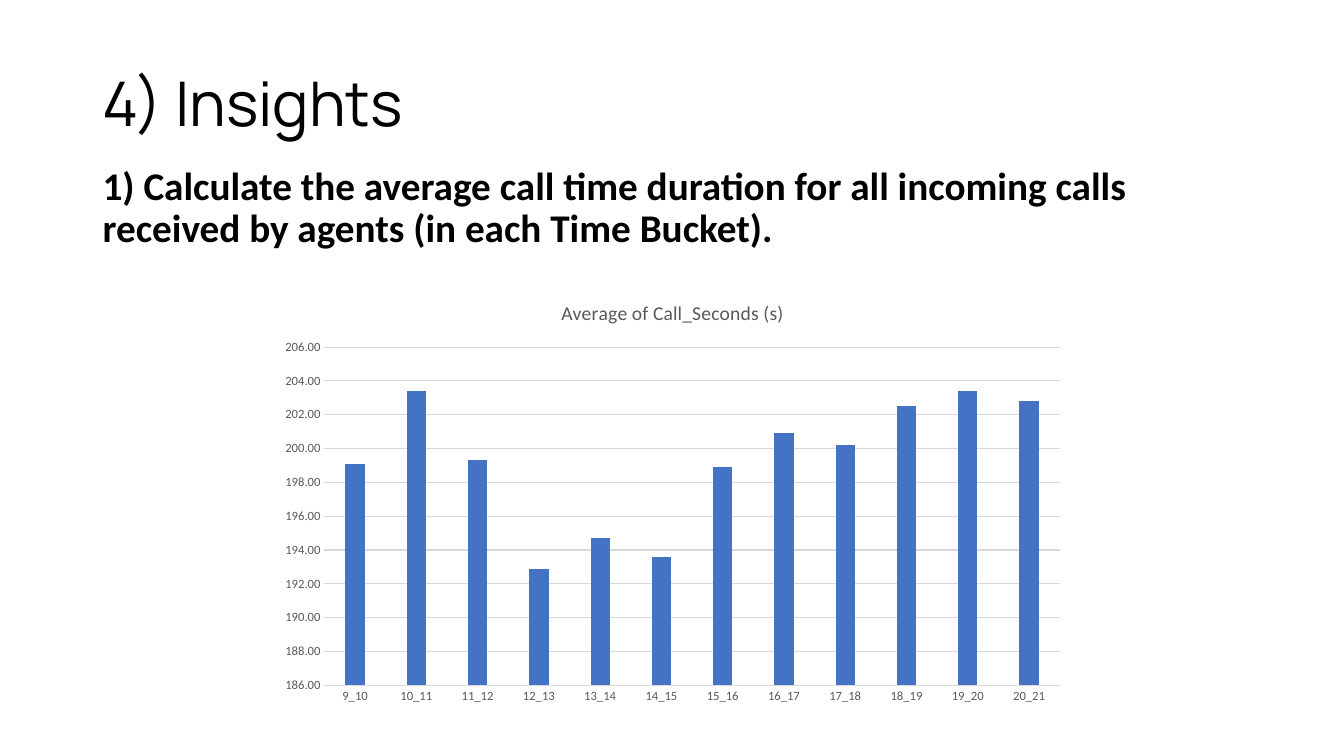
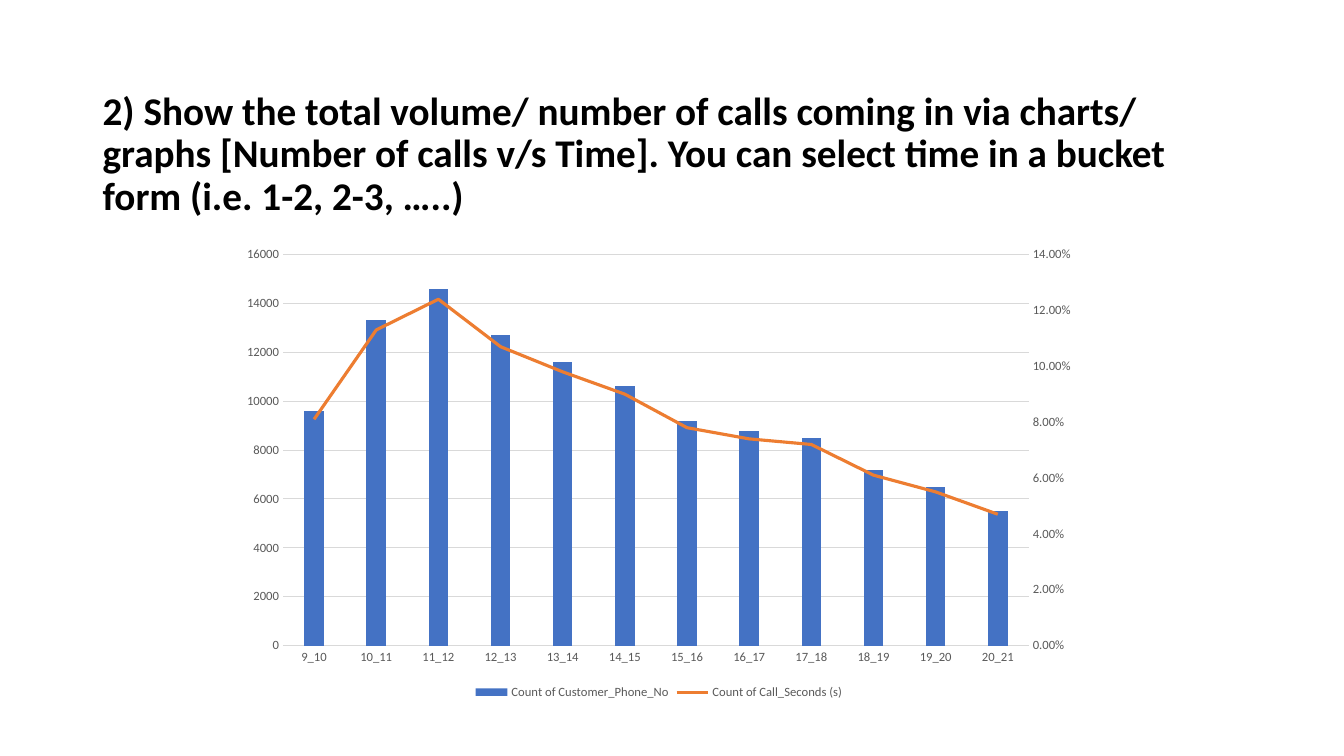
from dataclasses import dataclass

from pptx import Presentation
from pptx.chart.axis import ValueAxis
from pptx.chart.chart import Chart
from pptx.chart.data import CategoryChartData
from pptx.dml.color import RGBColor
from pptx.enum.chart import (XL_CHART_TYPE, XL_LEGEND_POSITION, XL_MARKER_STYLE,
                             XL_TICK_MARK)
from pptx.enum.text import MSO_ANCHOR
from pptx.oxml import parse_xml
from pptx.oxml.ns import nsdecls, qn
from pptx.slide import Slide
from pptx.util import Inches, Pt

COLORS = {"text": "000000", "label": "595959", "grid": "D9D9D9",
          "column": "4472C4", "line": "ED7D31"}
BODY_FONT = "Calibri"
TITLE_FONT = "Manrope"
TEXT_LEFT, TEXT_WIDTH = 0.92, 11.5
TIME_BUCKETS = [f"{hour}_{hour + 1}" for hour in range(9, 21)]


@dataclass(frozen=True)
class Box:
    left: float
    top: float
    width: float
    height: float

    def lengths(self) -> list[Inches]:
        return [Inches(n) for n in (self.left, self.top, self.width, self.height)]


@dataclass(frozen=True)
class Measure:
    name: str
    values: tuple[float, ...]
    number_format: str
    minimum: float
    maximum: float
    step: float


AVERAGE_SECONDS = Measure(
    "Average of Call_Seconds (s)",
    (199.1, 203.4, 199.3, 192.9, 194.7, 193.6, 198.9, 200.9, 200.2, 202.5, 203.4, 202.8),
    "0.00", 186, 206, 2)
CALL_COUNT = Measure(
    "Count of Customer_Phone_No",
    (9600, 13300, 14600, 12700, 11600, 10600, 9200, 8800, 8500, 7200, 6500, 5500),
    "General", 0, 16000, 2000)
CALL_SHARE = Measure(
    "Count of Call_Seconds (s)",
    (0.081, 0.113, 0.124, 0.107, 0.098, 0.09, 0.078, 0.074, 0.072, 0.061, 0.055, 0.047),
    "0.00%", 0, 0.14, 0.02)


def color(name: str) -> RGBColor:
    return RGBColor.from_string(COLORS[name])


def style_font(font, size: float, name: str = BODY_FONT, tone: str = "text",
               bold: bool = False) -> None:
    font.name, font.size, font.bold = name, Pt(size), bold
    font.color.rgb = color(tone)


def add_text(slide: Slide, text: str, top: float, height: float, *, size: float = 28,
             font: str = BODY_FONT, bold: bool = True,
             anchor: MSO_ANCHOR = MSO_ANCHOR.TOP) -> None:
    box = Box(TEXT_LEFT, top, TEXT_WIDTH, height)
    frame = slide.shapes.add_textbox(*box.lengths()).text_frame
    frame.word_wrap = True
    frame.vertical_anchor = anchor
    paragraph = frame.paragraphs[0]
    paragraph.line_spacing = 0.9
    run = paragraph.add_run()
    run.text = text
    style_font(run.font, size, font, bold=bold)


def style_line(line, tone: str, width: float = 0.75) -> None:
    line.color.rgb = color(tone)
    line.width = Pt(width)


def style_axis(axis) -> None:
    axis.major_tick_mark = axis.minor_tick_mark = XL_TICK_MARK.NONE
    style_font(axis.tick_labels.font, 9, tone="label")


def style_value_axis(axis: ValueAxis, measure: Measure) -> None:
    style_axis(axis)
    axis.format.line.fill.background()
    axis.minimum_scale, axis.maximum_scale = measure.minimum, measure.maximum
    axis.major_unit = measure.step
    axis.tick_labels.number_format = measure.number_format
    axis.tick_labels.number_format_is_linked = False


def add_column_chart(slide: Slide, box: Box, *measures: Measure) -> Chart:
    data = CategoryChartData()
    data.categories = TIME_BUCKETS
    for measure in measures:
        data.add_series(measure.name, measure.values, measure.number_format)
    chart = slide.shapes.add_chart(
        XL_CHART_TYPE.COLUMN_CLUSTERED, *box.lengths(), data).chart
    style_font(chart.font, 10)
    chart.has_title = chart.has_legend = False

    columns = chart.plots[0]
    columns.gap_width, columns.overlap = 219, -27
    columns.vary_by_categories = False
    fill = columns.series[0].format.fill
    fill.solid()
    fill.fore_color.rgb = color("column")

    style_axis(chart.category_axis)
    style_line(chart.category_axis.format.line, "grid")
    style_value_axis(chart.value_axis, measures[0])
    style_line(chart.value_axis.major_gridlines.format.line, "grid")
    return chart


def move_last_series_to_right_axis(chart: Chart, measure: Measure) -> None:
    """Redraw the last column series as a line on a secondary value axis."""
    ns = nsdecls("c")
    line_chart = parse_xml(
        f'<c:lineChart {ns}><c:grouping val="standard"/><c:varyColors val="0"/>'
        '<c:marker val="1"/><c:axId val="5001"/><c:axId val="5002"/></c:lineChart>')
    hidden_axis = parse_xml(
        f'<c:catAx {ns}><c:axId val="5001"/>'
        '<c:scaling><c:orientation val="minMax"/></c:scaling><c:delete val="1"/>'
        '<c:axPos val="b"/><c:crossAx val="5002"/><c:crosses val="autoZero"/></c:catAx>')
    right_axis = parse_xml(
        f'<c:valAx {ns}><c:axId val="5002"/>'
        '<c:scaling><c:orientation val="minMax"/></c:scaling><c:delete val="0"/>'
        '<c:axPos val="r"/><c:tickLblPos val="nextTo"/><c:crossAx val="5001"/>'
        '<c:crosses val="max"/></c:valAx>')

    left_axis = chart.value_axis._element
    bar_chart = left_axis.getparent().find(qn("c:barChart"))
    series = bar_chart.findall(qn("c:ser"))[-1]
    for bar_setting in series.findall(qn("c:invertIfNegative")):
        series.remove(bar_setting)
    line_chart.insert(2, series)
    bar_chart.addnext(line_chart)
    left_axis.addnext(right_axis)
    right_axis.addnext(hidden_axis)
    style_value_axis(ValueAxis(right_axis), measure)

    share_line = chart.plots[1].series[0]
    share_line.smooth = False
    share_line.marker.style = XL_MARKER_STYLE.NONE
    style_line(share_line.format.line, "line", 2.25)


def build_average_slide(slide: Slide) -> None:
    add_text(slide, "4) Insights", 0.52, 1.07, size=44, font=TITLE_FONT, bold=False,
             anchor=MSO_ANCHOR.MIDDLE)
    add_text(slide, "1) Calculate the average call time duration for all incoming calls "
             "received by agents (in each Time Bucket).", 1.6, 5.1)
    chart = add_column_chart(slide, Box(2.67, 2.79, 8, 4.28), AVERAGE_SECONDS)
    chart.has_title = True
    title = chart.chart_title
    title.text_frame.text = AVERAGE_SECONDS.name
    style_font(title.text_frame.paragraphs[0].runs[0].font, 14, tone="label")


def build_volume_slide(slide: Slide) -> None:
    add_text(slide, "2) Show the total volume/ number of calls coming in via charts/ "
             "graphs [Number of calls v/s Time]. You can select time in a bucket form "
             "(i.e. 1-2, 2-3, …..)", 0.86, 1.5)
    chart = add_column_chart(slide, Box(2.28, 2.36, 8.51, 4.62), CALL_COUNT, CALL_SHARE)
    move_last_series_to_right_axis(chart, CALL_SHARE)
    chart.has_legend = True
    chart.legend.position = XL_LEGEND_POSITION.BOTTOM
    chart.legend.include_in_layout = False
    style_font(chart.legend.font, 9, tone="label")


def main() -> None:
    deck = Presentation()
    deck.slide_width, deck.slide_height = Inches(13.33), Inches(7.5)
    blank = deck.slide_layouts[6]
    for build in (build_average_slide, build_volume_slide):
        build(deck.slides.add_slide(blank))
    deck.save("out.pptx")


if __name__ == "__main__":
    main()
